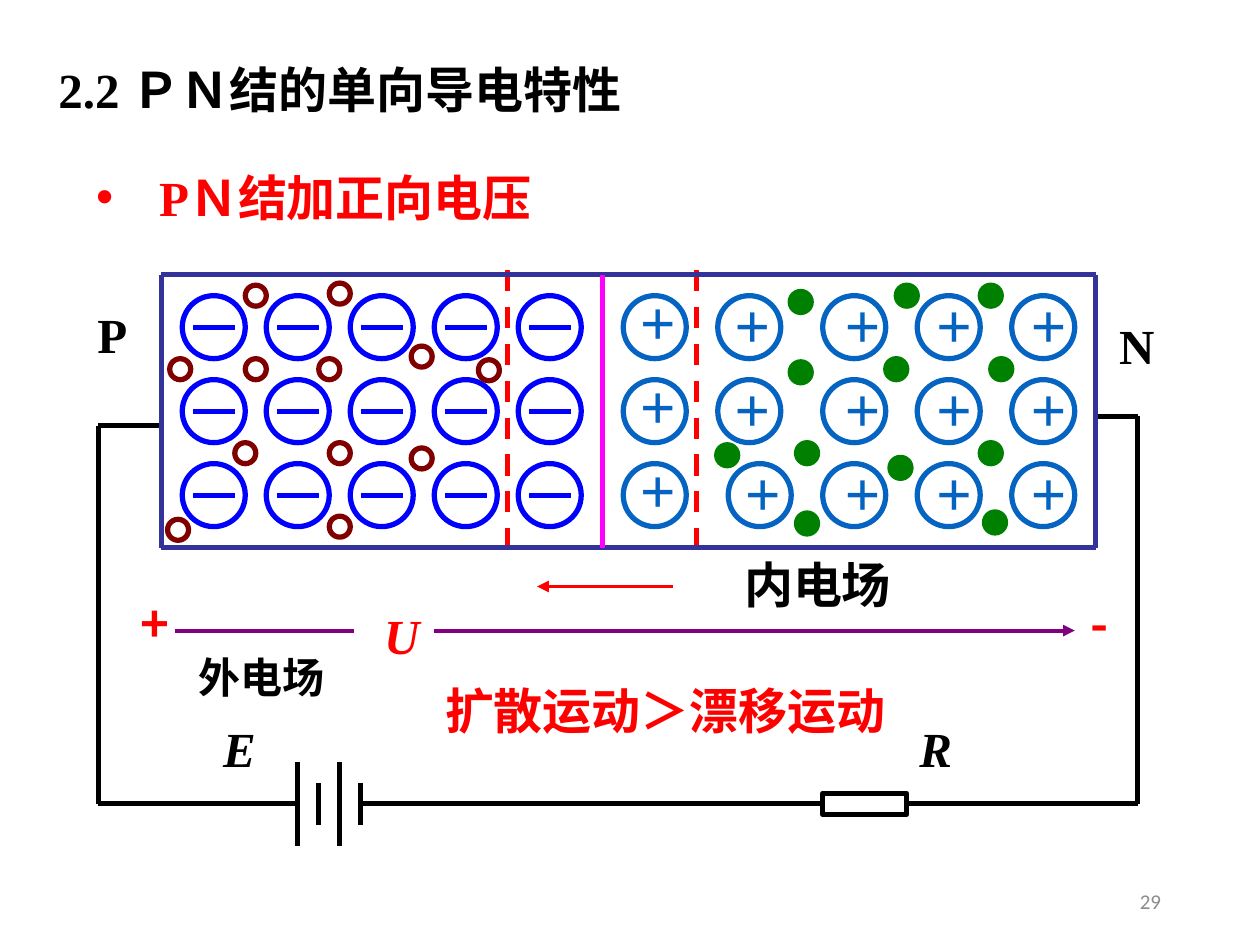
import itertools
from dataclasses import dataclass

import pptx
import pptx.dml.color
import pptx.enum.dml
import pptx.enum.shapes
import pptx.enum.text
import pptx.oxml
import pptx.oxml.ns
import pptx.util

SHAPE = pptx.enum.shapes.MSO_SHAPE
ANCHOR = pptx.enum.text.MSO_ANCHOR
ALIGN = pptx.enum.text.PP_ALIGN


@dataclass(frozen=True)
class Theme:
    black: str = "000000"
    red: str = "FF0000"
    purple: str = "800080"
    bar: str = "333399"
    junction: str = "FF00FF"
    acceptor: str = "0000FF"
    donor: str = "0563C1"
    hole: str = "800000"
    electron: str = "008000"
    muted: str = "8C8C8C"
    latin: str = "Times New Roman"
    cjk: str = "Noto Sans CJK SC"
    number_font: str = "Calibri"
    large: int = 28
    small: int = 24
    sign: int = 36
    number: int = 12
    thick: float = 3
    thin: float = 2.25


T = Theme()

# Grid cells are 1/12 inch; the origin is the top left corner of the PN bar
CELL, LEFT, TOP = 1 / 12, 1.28, 2.18
BAR_W, BAR_H, ION, CARRIER = 89, 26, 6, 2
ROWS = (2, 10, 18)


def col(x: float) -> int:
    return pptx.util.Inches(LEFT + x * CELL)


def row(y: float) -> int:
    return pptx.util.Inches(TOP + y * CELL)


def span(n: float) -> int:
    return pptx.util.Inches(n * CELL)


def rgb(color: str) -> pptx.dml.color.RGBColor:
    return pptx.dml.color.RGBColor.from_string(color)


@dataclass(frozen=True)
class Label:
    text: str
    x: float
    y: float
    w: float
    h: float = 6.8
    color: str = T.black
    size: int = T.large
    font: str = T.latin
    bold: bool = True
    italic: bool = False
    align: ALIGN = ALIGN.CENTER
    anchor: ANCHOR = ANCHOR.MIDDLE


@dataclass(frozen=True)
class Line:
    x1: float
    y1: float
    x2: float
    y2: float
    color: str = T.black
    width: float = T.thick
    dashed: bool = False
    arrow: bool = False


def write(sp, label: Label) -> None:
    sp.left, sp.top = col(label.x), row(label.y)
    sp.width, sp.height = span(label.w), span(label.h)
    tf = sp.text_frame
    tf.text = label.text
    tf.auto_size = pptx.enum.text.MSO_AUTO_SIZE.NONE
    tf.word_wrap = len(label.text) > 1
    tf.vertical_anchor = label.anchor
    p = tf.paragraphs[0]
    p.alignment = label.align
    font = p.runs[0].font
    font.size, font.bold, font.italic = pptx.util.Pt(label.size), label.bold, label.italic
    font.name, font.color.rgb = label.font, rgb(label.color)
    ea = pptx.oxml.parse_xml(f'<a:ea {pptx.oxml.ns.nsdecls("a")} typeface="{T.cjk}"/>')
    p.runs[0]._r.rPr.find(pptx.oxml.ns.qn("a:latin")).addnext(ea)


def add_label(slide, label: Label) -> None:
    write(slide.shapes.add_textbox(0, 0, 0, 0), label)


def add_line(slide, line: Line) -> None:
    c = slide.shapes.add_connector(pptx.enum.shapes.MSO_CONNECTOR.STRAIGHT,
                                   col(line.x1), row(line.y1), col(line.x2), row(line.y2))
    c.line.color.rgb, c.line.width = rgb(line.color), pptx.util.Pt(line.width)
    if line.dashed:
        c.line.dash_style = pptx.enum.dml.MSO_LINE.DASH
    ns = pptx.oxml.ns.nsdecls("a")
    if line.arrow:
        c.line._get_or_add_ln().append(pptx.oxml.parse_xml(f'<a:tailEnd {ns} type="triangle"/>'))
    c._element.spPr.append(pptx.oxml.parse_xml(f"<a:effectLst {ns}/>"))


def add_outline(slide, kind: SHAPE, x: float, y: float, w: float, h: float,
                color: str, filled: bool = False) -> None:
    sp = slide.shapes.add_shape(kind, col(x), row(y), span(w), span(h))
    sp.shadow.inherit = False
    sp.line.color.rgb, sp.line.width = rgb(color), pptx.util.Pt(T.thick)
    if filled:
        sp.fill.solid()
        sp.fill.fore_color.rgb = rgb(color)
    else:
        sp.fill.background()


# Circuit: bottom wire height, left and right wire columns
WIRE, WEST, EAST = 50.4, -6, 93
CIRCUIT = [
    Line(13, WIRE, WEST, WIRE), Line(WEST, WIRE, WEST, 14.4), Line(WEST, 14.4, 0, 14.4),
    Line(BAR_W, 13.5, EAST, 13.5), Line(EAST, 13.5, EAST, WIRE),
    Line(19, WIRE, 63, WIRE), Line(71, WIRE, EAST, WIRE),
] + [Line(x, WIRE - half, x, WIRE + half) for x, half in ((13, 4), (15, 2), (17, 4), (19, 2))]

DEPLETION = [Line(x, -0.4, x, 26.9, T.red, dashed=True) for x in (33, 51)]
FIELDS = [
    Line(48.7, 29.7, 35.8, 29.7, T.red, T.thin, arrow=True),
    Line(18.4, 33.9, 1.3, 33.9, T.purple, T.thin),
    Line(26, 33.9, 87, 33.9, T.purple, T.thin, arrow=True),
]
BAR = [Line(0, y, BAR_W, y, T.bar) for y in (0, BAR_H)]
BAR += [Line(x, 0, x, BAR_H, c) for x, c in ((0, T.bar), (BAR_W, T.bar), (42, T.junction))]

# Donor columns: ion column, then the shift of its plus sign
DONORS = ((44, -0.7, -1.8), (53, -0.7, -1.6), (63, -0.2, -1.6), (72, -0.5, -1.6), (81, -0.5, -1.6))
HOLES = ((15, 8), (0.6, 23.3), (8, 1), (0.8, 8), (16, 23), (8, 8), (7, 16), (16, 16),
         (16, 0.8), (23.8, 6.8), (23.8, 16.5), (30.2, 8.1))
ELECTRONS = ((79, 8), (69, 8), (60.5, 22.7), (70, 1), (78, 16), (78.4, 22.6), (69.4, 17.4),
             (78, 1), (59.9, 1.6), (59.9, 8.3), (60.5, 16), (52.9, 16.2))

TITLE = Label("2.2 ＰＮ结的单向导电特性", -11, -21.4, 71.4, 7.4, align=ALIGN.LEFT)
TOPIC = Label("PＮ结加正向电压", -7.4, -11.4, 49.4, 7, T.red, align=ALIGN.LEFT, anchor=ANCHOR.TOP)
LABELS = [
    Label("P", -7.3, 2.2, 5.3),
    Label("N", 89.4, 3.3, 7),
    Label("内电场", 51.7, 26, 21.6),
    Label("+", -3, 29.8, 4.8, color=T.red, font=T.cjk),
    Label("-", 87, 29.8, 4.8, color=T.red, font=T.cjk),
    Label("E", 4.7, 41.7, 5.5, italic=True),
    Label("R", 71, 41.7, 5.5, italic=True),
    Label("U", 20, 30.9, 5.8, color=T.red, italic=True),
    Label("外电场", 0.2, 35.3, 18.6, 6, size=T.small),
    Label("扩散运动＞漂移运动", 22.8, 38.1, 50.4, color=T.red, anchor=ANCHOR.TOP),
    Label("29", 69.4, 57.3, 27, 4.8, T.muted, T.number, T.number_font, False, align=ALIGN.RIGHT),
]


def main() -> None:
    prs = pptx.Presentation()
    prs.slide_width, prs.slide_height = pptx.util.Inches(10), pptx.util.Inches(7.5)
    slide = prs.slides.add_slide(prs.slide_layouts[1])

    # Title and bulleted topic
    write(slide.shapes.title, TITLE)
    body = slide.placeholders[1]
    write(body, TOPIC)
    p = body.text_frame.paragraphs[0]
    p.line_spacing = 1.1
    pPr = p._p.get_or_add_pPr()
    pPr.set("marL", str(pptx.util.Inches(0.5)))
    pPr.set("indent", str(-pptx.util.Inches(0.5)))

    # Circuit, resistor and field arrows
    for line in DEPLETION + CIRCUIT + FIELDS:
        add_line(slide, line)
    add_outline(slide, SHAPE.RECTANGLE, 63, WIRE - 1, 8, 2, T.black)

    # Donor ions; the lowest one of the second column sits one cell to the right
    for (x, dx, dy), y in itertools.product(DONORS, ROWS):
        x += (x, y) == (53, 18)
        add_outline(slide, SHAPE.OVAL, x, y, ION, ION, T.donor)
        add_label(slide, Label("+", x + dx, y + dy, 8, 8.4, T.donor, T.sign, anchor=ANCHOR.TOP))

    # Acceptor ions
    for i, y in itertools.product(range(5), ROWS):
        x = 2 + 8 * i
        add_outline(slide, SHAPE.OVAL, x, y, ION, ION, T.acceptor)
        add_line(slide, Line(x + 1, y + ION / 2, x + ION - 1, y + ION / 2, T.acceptor))

    # Bar outline, junction and free carriers
    for line in BAR:
        add_line(slide, line)
    for spots, color, filled in ((HOLES, T.hole, False), (ELECTRONS, T.electron, True)):
        for x, y in spots:
            add_outline(slide, SHAPE.OVAL, x, y, CARRIER, CARRIER, color, filled)

    for label in LABELS:
        add_label(slide, label)
    prs.save("out.pptx")


if __name__ == "__main__":
    main()
